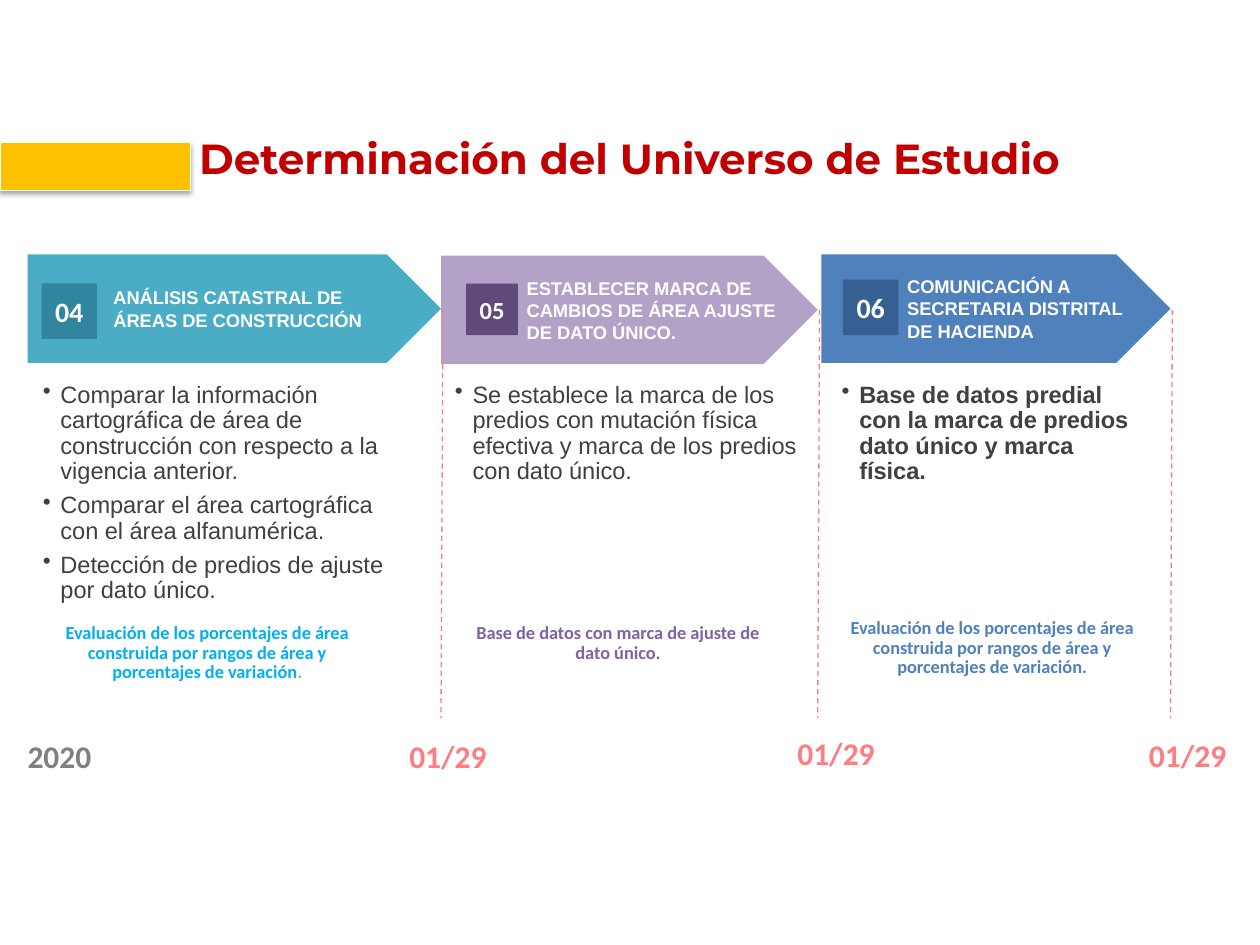
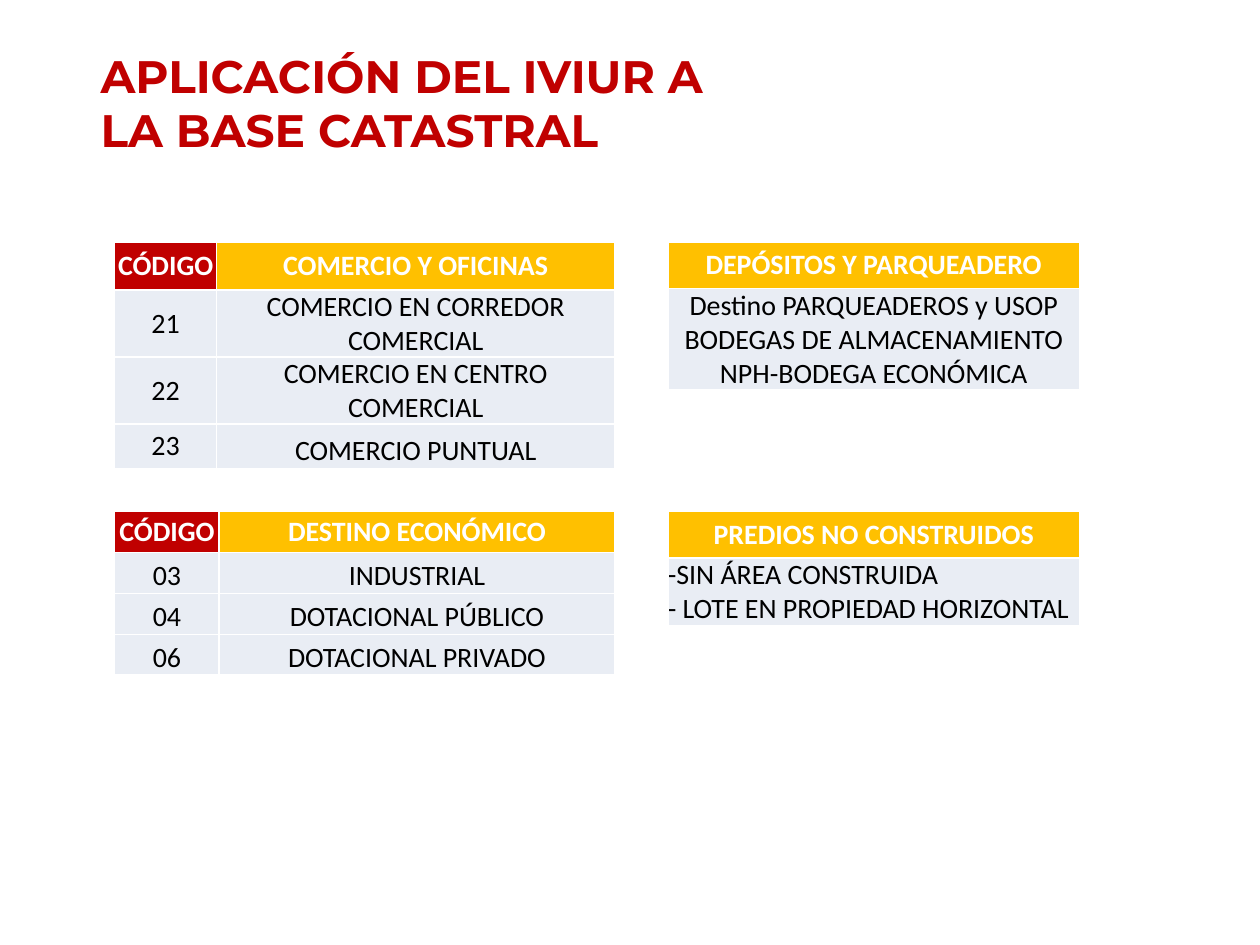
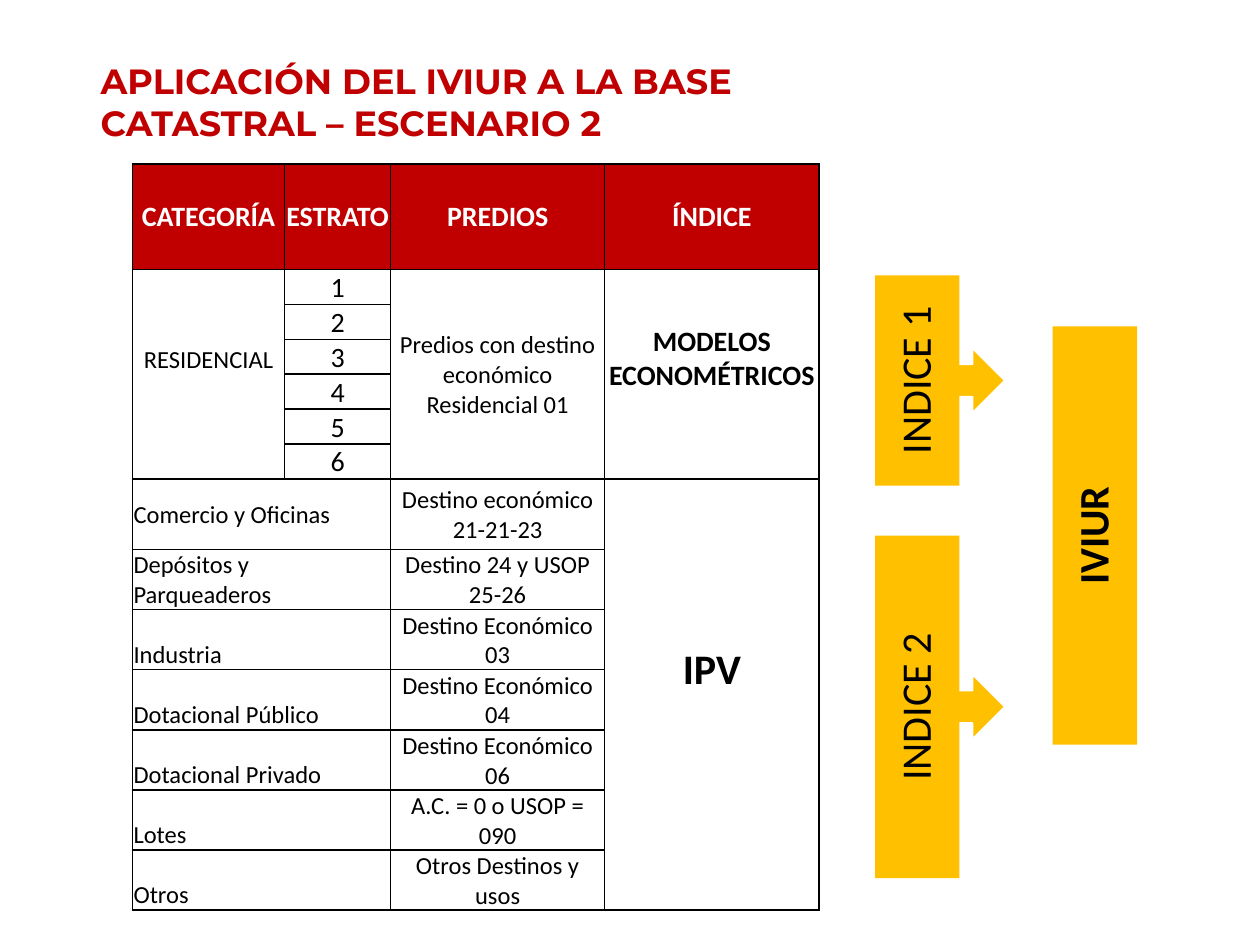
from dataclasses import dataclass
from lxml.etree import SubElement
from pptx import Presentation
from pptx.dml.color import RGBColor
from pptx.enum.dml import MSO_LINE_DASH_STYLE as Dash
from pptx.enum.shapes import MSO_CONNECTOR as Connector, MSO_SHAPE as Shape
from pptx.enum.text import MSO_ANCHOR as Anchor, PP_ALIGN as Align
from pptx.oxml.ns import qn
from pptx.util import Inches, Pt

SLIDE_WIDTH, SLIDE_HEIGHT = Inches(10), Inches(7.5)
GRID_COLUMNS, GRID_ROWS = 100, 75
COLORS = {
    "red": "C00000", "gold": "FFC000", "white": "FFFFFF", "black": "000000",
    "ink": "404040", "gray": "808080", "coral": "FF7C80", "cell": "E9EDF4",
    "teal": "4BACC6", "deep_teal": "31859C", "sky": "00B0F0", "green": "9BBB59",
    "lilac": "B3A2C7", "deep_purple": "604A7B", "purple": "8064A2",
    "blue": "4F81BD", "deep_blue": "376092",
}
BODY, LABEL, HEADING = "Calibri", "Arial", "Montserrat"


@dataclass
class Stage:
    number: str
    label: str
    color: str
    badge_color: str
    left: float
    top: float
    width: float
    badge: tuple
    badge_size: float
    tasks: tuple
    tasks_left: float
    tasks_width: float
    tasks_bold: bool
    note: tuple
    note_box: tuple
    date_box: tuple


STAGES = (
    Stage("04", "ANÁLISIS CATASTRAL DE ÁREAS DE CONSTRUCCIÓN", "teal", "deep_teal",
          2.2, 20.2, 32.8, (3.3, 22.5, 4.4, 4.4), 16,
          ("Comparar la información cartográfica de área de construcción con respecto "
           "a la vigencia anterior.",
           "Comparar el área cartográfica con el área alfanumérica.",
           "Detección de predios de ajuste por dato único."), 3, 28.5, False,
          (("Evaluación de los porcentajes de área construida por rangos de área y "
            "porcentajes de variación", "sky"), (".", "green")),
          (3, 49, 26.9, 5.6), (31.5, 58, 8.2, 4)),
    Stage("05", "ESTABLECER MARCA DE CAMBIOS DE ÁREA AJUSTE DE DATO ÚNICO.",
          "lilac", "deep_purple", 35, 20.3, 29.9, (37, 22.5, 4.1, 4.1), 14,
          ("Se establece la marca de los predios con mutación física efectiva y marca "
           "de los predios con dato único.",), 35.7, 28.5, False,
          (("Base de datos con marca de ajuste de dato único.", "purple"),),
          (35.6, 49, 26.9, 4.1), (62.3, 57.8, 8.2, 4)),
    Stage("06", "COMUNICACIÓN A SECRETARIA DISTRITAL DE HACIENDA",
          "blue", "deep_blue", 65.2, 20.2, 27.7, (66.9, 22.2, 4.4, 4.4), 16,
          ("Base de datos predial con la marca de predios dato único y marca física.",),
          66.4, 24.4, True,
          (("Evaluación de los porcentajes de área construida por rangos de área y "
            "porcentajes de variación.", "blue"),),
          (65.3, 48.6, 26.9, 5.6), (90.2, 57.9, 8.2, 4)),
)

USE_TABLES = (
    ((9.1, 19.2), (8.1, 31.6), (3.8, 5.3, 5.3, 3.5), Anchor.MIDDLE,
     (("CÓDIGO", "COMERCIO Y OFICINAS"), ("21", "COMERCIO EN CORREDOR COMERCIAL"),
      ("22", "COMERCIO EN CENTRO COMERCIAL"), ("23", "COMERCIO PUNTUAL"))),
    ((53, 19.2), (32.7,), (3.7, 8), Anchor.BOTTOM,
     (("DEPÓSITOS Y PARQUEADERO",),
      ("Destino PARQUEADEROS y USOP BODEGAS DE ALMACENAMIENTO NPH-BODEGA ECONÓMICA",))),
    ((9.1, 40.6), (8.3, 31.4), (3.25,) * 4, Anchor.BOTTOM,
     (("CÓDIGO", "DESTINO ECONÓMICO"), ("03", "INDUSTRIAL"),
      ("04", "DOTACIONAL PÚBLICO"), ("06", "DOTACIONAL PRIVADO"))),
    ((53, 40.6), (32.7,), (3.7, 5.4), Anchor.BOTTOM,
     (("PREDIOS NO CONSTRUIDOS",),
      ("-SIN ÁREA CONSTRUIDA\n- LOTE EN PROPIEDAD HORIZONTAL",))),
)

CATEGORIES = (
    ("Comercio y Oficinas", "Destino económico 21-21-23"),
    ("Depósitos y Parqueaderos", "Destino 24 y USOP 25-26"),
    ("Industria", "Destino Económico 03"),
    ("Dotacional Público", "Destino Económico 04"),
    ("Dotacional Privado", "Destino Económico 06"),
    ("Lotes", "A.C. = 0 o USOP = 090"),
    ("Otros", "Otros Destinos y usos"),
)


def columns(count):
    return round(SLIDE_WIDTH * count / GRID_COLUMNS)


def rows(count):
    return round(SLIDE_HEIGHT * count / GRID_ROWS)


def place(box):
    left, top, width, height = box
    return columns(left), rows(top), columns(width), rows(height)


def rgb(color):
    return RGBColor.from_string(COLORS[color])


def add_run(paragraph, text, size, color, bold=False, font=BODY):
    run = paragraph.add_run()
    run.text = text
    run.font.name, run.font.size, run.font.bold = font, Pt(size), bold
    run.font.color.rgb = rgb(color)


def set_frame(frame, margins=(1, 0.5, 1, 0.5), anchor=Anchor.TOP, wrap=True):
    left, top, right, bottom = margins
    frame.margin_left, frame.margin_right = columns(left), columns(right)
    frame.margin_top, frame.margin_bottom = rows(top), rows(bottom)
    frame.vertical_anchor, frame.word_wrap = anchor, wrap
    return frame.paragraphs[0]


def add_text(slide, box, **frame_options):
    frame = slide.shapes.add_textbox(*place(box)).text_frame
    return frame, set_frame(frame, **frame_options)


def add_block(slide, kind, box, color, outline=None, rotation=0):
    block = slide.shapes.add_shape(kind, *place(box))
    block.shadow.inherit = False
    block.fill.solid()
    block.fill.fore_color.rgb = rgb(color)
    block.rotation = rotation
    if outline:
        block.line.color.rgb = rgb("white")
        block.line.width = Pt(outline)
    else:
        block.line.fill.background()
    return block


def add_title(slide, box, text, size, line_spacing=1.0, **frame_options):
    _, paragraph = add_text(slide, box, **frame_options)
    paragraph.line_spacing = line_spacing
    add_run(paragraph, text, size, "red", True, HEADING)


def add_title_band(slide, box):
    band = add_block(slide, Shape.RECTANGLE, box, "gold", 0.75)
    effects = band.element.spPr.find(qn("a:effectLst"))
    shadow = SubElement(effects, qn("a:outerShdw"), blurRad=str(Pt(3.1)),
                        dist=str(Pt(1.8)), dir="5400000", rotWithShape="0")
    tint = SubElement(shadow, qn("a:srgbClr"), val=COLORS["black"])
    SubElement(tint, qn("a:alpha"), val="35000")


def add_stage_arrow(slide, stage):
    box = (stage.left, stage.top, stage.width, 8.6)
    arrow = add_block(slide, Shape.PENTAGON, box, stage.color)
    paragraph = set_frame(arrow.text_frame, (6.8, 0.5, 1, 0.5), Anchor.MIDDLE)
    paragraph.alignment = Align.LEFT
    add_run(paragraph, stage.label, 10.5, "white", True, LABEL)


def add_badge(slide, stage):
    badge = add_block(slide, Shape.RECTANGLE, stage.badge, stage.badge_color)
    paragraph = set_frame(badge.text_frame, anchor=Anchor.MIDDLE)
    paragraph.alignment = Align.CENTER
    add_run(paragraph, stage.number, stage.badge_size, "white", True)


def add_tasks(slide, stage):
    box = (stage.tasks_left, 30.1, stage.tasks_width, 14.7)
    frame, paragraph = add_text(slide, box, margins=(0.3,) * 4)
    for index, task in enumerate(stage.tasks):
        if index:
            paragraph = frame.add_paragraph()
        paragraph.line_spacing, paragraph.space_after = 0.9, Pt(4.9)
        properties = paragraph._p.get_or_add_pPr()
        properties.set("marL", str(columns(1.5)))
        properties.set("indent", str(-columns(1.4)))
        SubElement(properties, qn("a:buChar"), char="•")
        add_run(paragraph, task, 13.5, "ink", stage.tasks_bold, LABEL)


def add_note(slide, stage):
    _, paragraph = add_text(slide, stage.note_box)
    paragraph.alignment, paragraph.line_spacing = Align.CENTER, Pt(11.2)
    for text, color in stage.note:
        add_run(paragraph, text, 10.5, color, True)


def add_date(slide, box, text, color):
    _, paragraph = add_text(slide, box, wrap=False)
    add_run(paragraph, text, 18, color, True)


def add_deadline(slide, stage):
    end = stage.left + stage.width
    deadline = slide.shapes.add_connector(
        Connector.STRAIGHT, columns(end + 0.15), rows(24.6), columns(end), rows(57))
    deadline.line.color.rgb = rgb("coral")
    deadline.line.width = Pt(0.75)
    deadline.line.dash_style = Dash.DASH
    SubElement(deadline.element.spPr, qn("a:effectLst"))


def set_borders(cell, color):
    properties = cell._tc.get_or_add_tcPr()
    for side in ("lnL", "lnR", "lnT", "lnB"):
        line = SubElement(properties, qn(f"a:{side}"), w=str(Pt(1)))
        fill = SubElement(line, qn("a:solidFill"))
        SubElement(fill, qn("a:srgbClr"), val=COLORS[color])


def add_grid(slide, corner, widths, heights, border):
    box = (*corner, sum(widths), sum(heights))
    table = slide.shapes.add_table(len(heights), len(widths), *place(box)).table
    table.first_row = table.horz_banding = False
    for column, width in zip(table.columns, widths):
        column.width = columns(width)
    for row, height in zip(table.rows, heights):
        row.height = rows(height)
    for cell in table.iter_cells():
        set_borders(cell, border)
        cell.fill.background()
    return table


def write_cell(cell, text, size=16, color="black", bold=False, fill=None,
               align=Align.CENTER, anchor=Anchor.MIDDLE, margin=0.1, lift=0):
    cell.margin_left = cell.margin_right = columns(margin)
    cell.margin_top, cell.margin_bottom = rows(margin), rows(lift)
    cell.vertical_anchor = anchor
    if fill:
        cell.fill.solid()
        cell.fill.fore_color.rgb = rgb(fill)
    for index, line in enumerate(text.split("\n")):
        frame = cell.text_frame
        paragraph = frame.add_paragraph() if index else frame.paragraphs[0]
        paragraph.alignment = align
        add_run(paragraph, line, size, color, bold)


def add_use_table(slide, corner, widths, heights, code_anchor, content):
    table = add_grid(slide, corner, widths, heights, "white")
    for row, texts in enumerate(content):
        for column, text in enumerate(texts):
            cell = table.cell(row, column)
            if row == 0:
                fill = "red" if text == "CÓDIGO" else "gold"
                write_cell(cell, text, color="white", bold=True, fill=fill, margin=0)
            else:
                is_code = column == 0 and len(texts) > 1
                write_cell(cell, text, fill="cell", margin=0,
                           align=Align.LEFT if "\n" in text else Align.CENTER,
                           anchor=code_anchor if is_code else Anchor.BOTTOM)


def add_scenario_table(slide):
    heights = (8.4,) + (2.75,) * 6 + (5.6,) + (4.75,) * 6
    table = add_grid(slide, (10.5, 13), (12.1, 8.4, 17, 17), heights, "black")
    for column, header in enumerate(("CATEGORÍA", "ESTRATO", "PREDIOS", "ÍNDICE")):
        write_cell(table.cell(0, column), header, color="white", bold=True, fill="red")
    for column in (0, 2, 3):
        table.cell(1, column).merge(table.cell(6, column))
    table.cell(7, 3).merge(table.cell(13, 3))
    write_cell(table.cell(1, 0), "RESIDENCIAL", 14, lift=2.3)
    write_cell(table.cell(1, 2), "Predios con destino económico Residencial 01", 14)
    write_cell(table.cell(1, 3), "MODELOS ECONOMÉTRICOS", bold=True, lift=2.5)
    write_cell(table.cell(7, 3), "IPV", 24, bold=True, lift=4)
    for stratum in range(1, 7):
        write_cell(table.cell(stratum, 1), str(stratum))
    for row, (category, properties) in enumerate(CATEGORIES, start=7):
        anchor = Anchor.MIDDLE if row < 9 else Anchor.BOTTOM
        table.cell(row, 0).merge(table.cell(row, 1))
        write_cell(table.cell(row, 0), category, 14, align=Align.LEFT, anchor=anchor)
        write_cell(table.cell(row, 2), properties, 14, anchor=anchor)


def turned_box(center_x, center_y, length, thickness):
    return center_x - length / 2, center_y - thickness / 2, length, thickness


def add_upright_label(slide, center_x, center_y, length, text, bold=False):
    box = turned_box(center_x, center_y, length, 6.7)
    bar = add_block(slide, Shape.RECTANGLE, box, "gold", rotation=270)
    paragraph = set_frame(bar.text_frame, (1.9,) * 4, Anchor.MIDDLE)
    paragraph.alignment, paragraph.line_spacing = Align.CENTER, 0.9
    add_run(paragraph, text, 24, "black", bold)


def add_index(slide, center_y, length, text):
    box = turned_box(74.6, center_y, length, 10.3)
    add_block(slide, Shape.UP_ARROW_CALLOUT, box, "gold", 1, 90)
    add_upright_label(slide, 72.8, center_y, length, text)


def build_stages(slide):
    add_title(slide, (15.1, 11.3, 82.2, 3.6), "Determinación del Universo de Estudio",
              24, 0.8, margins=(0.7, 0.4, 0.7, 0.4), anchor=Anchor.BOTTOM)
    for stage in STAGES:
        add_stage_arrow(slide, stage)
    for stage in STAGES:
        add_badge(slide, stage)
        add_tasks(slide, stage)
        add_note(slide, stage)
        add_deadline(slide, stage)
        add_date(slide, stage.date_box, "01/29", "coral")
    add_date(slide, (1.2, 58, 7.1, 4), "2020", "gray")
    add_title_band(slide, (0, 11.3, 15.1, 3.8))


def build_uses(slide):
    add_title(slide, (7, 3.2, 54.5, 9.8), "APLICACIÓN DEL IVIUR A LA BASE CATASTRAL",
              26, anchor=Anchor.MIDDLE)
    for use_table in USE_TABLES:
        add_use_table(slide, *use_table)


def build_scenario(slide):
    add_title(slide, (7, 4.2, 54.5, 7.7),
              "APLICACIÓN DEL IVIUR A LA BASE CATASTRAL – ESCENARIO 2",
              20, anchor=Anchor.MIDDLE)
    add_scenario_table(slide)
    add_index(slide, 30.2, 16.7, "INDICE 1")
    add_index(slide, 56.1, 27.2, "INDICE 2")
    add_upright_label(slide, 86.9, 42.5, 33.2, "IVIUR", True)


def main():
    deck = Presentation()
    deck.slide_width, deck.slide_height = SLIDE_WIDTH, SLIDE_HEIGHT
    for build in (build_stages, build_uses, build_scenario):
        build(deck.slides.add_slide(deck.slide_layouts[6]))
    deck.save("out.pptx")


if __name__ == "__main__":
    main()
